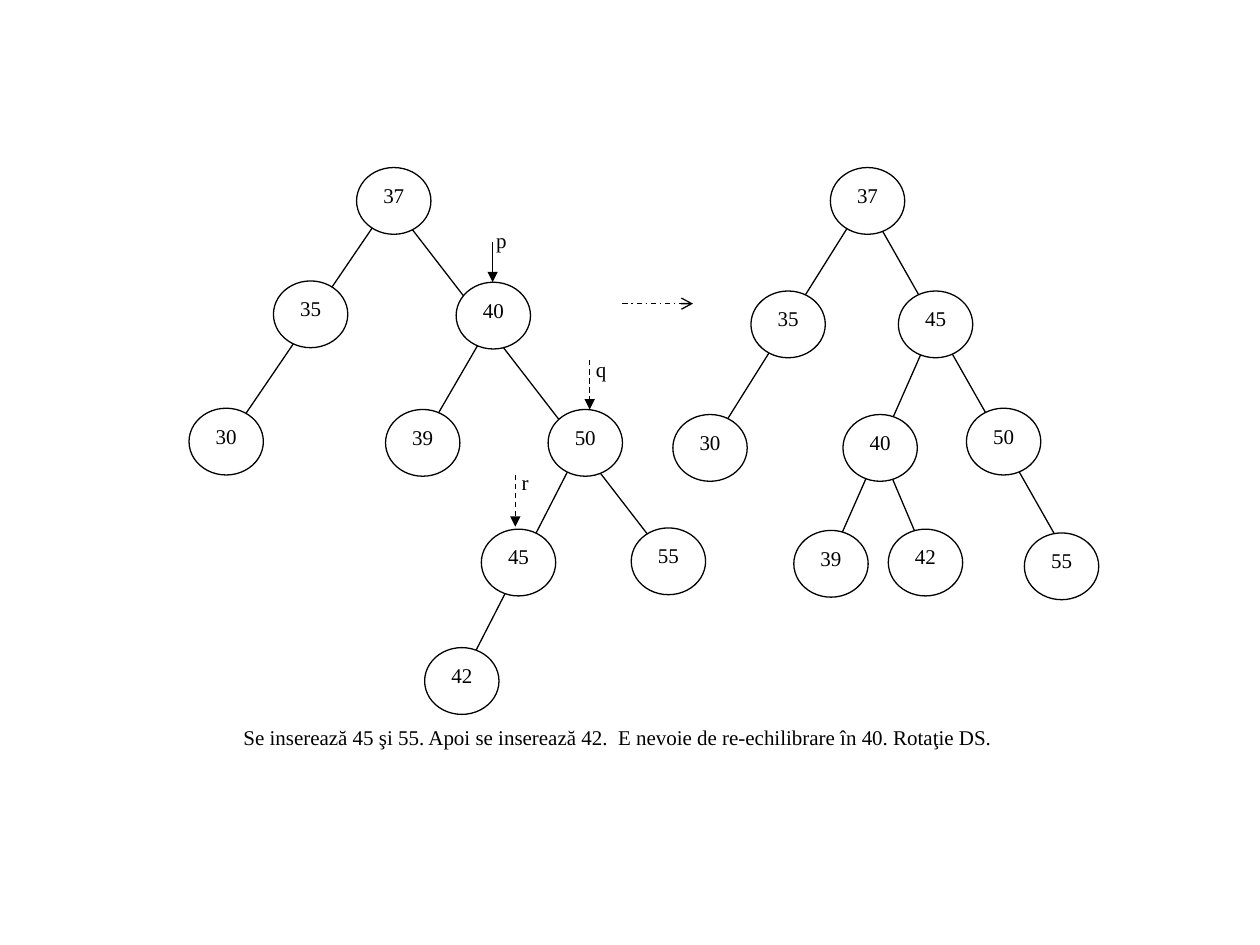
from lxml.etree import SubElement
from pptx import Presentation
from pptx.dml.color import RGBColor
from pptx.enum.dml import MSO_LINE
from pptx.enum.shapes import MSO_CONNECTOR, MSO_SHAPE
from pptx.enum.text import MSO_ANCHOR, PP_ALIGN
from pptx.oxml.ns import qn
from pptx.util import Inches, Pt

deck = Presentation()
deck.slide_width, deck.slide_height = Inches(10), Inches(7.5)
page = deck.slides.add_slide(deck.slide_layouts[6])
cell = deck.slide_width / 100
color = RGBColor.from_string
BLACK, WHITE = "000000", "FFFFFF"


def draw_line(ends, dash=None, head=None):
    line = page.shapes.add_connector(
        MSO_CONNECTOR.STRAIGHT, *[round(value * cell) for value in ends]
    )
    line.line.color.rgb = color(BLACK)
    line.line.width = Pt(0.75)
    if dash:
        line.line.dash_style = dash
    if head:
        SubElement(line.line._get_or_add_ln(), qn("a:tailEnd"), type=head)
    SubElement(line._element.spPr, qn("a:effectLst"))


def draw_text(kind, bounds, text, align, insets, outlined=False):
    box = page.shapes.add_shape(kind, *[round(value * cell) for value in bounds])
    box.shadow.inherit = False
    box.fill.solid()
    box.fill.fore_color.rgb = color(WHITE)
    if outlined:
        box.line.color.rgb = color(BLACK)
        box.line.width = Pt(0.75)
    else:
        box.line.fill.background()
    frame = box.text_frame
    frame.text = text
    frame.word_wrap = True
    frame.vertical_anchor = MSO_ANCHOR.TOP
    side, top, bottom = [round(value * cell) for value in insets]
    frame.margin_left = frame.margin_right = side
    frame.margin_top, frame.margin_bottom = top, bottom
    para = frame.paragraphs[0]
    para.alignment = align
    span = para.runs[0]
    span.font.name = "Times New Roman"
    span.font.size = Pt(12)
    span.font.color.rgb = color(BLACK)


tree_before = [
    ("37", 28.3, 13.3), ("35", 21.7, 22.3), ("40", 36.2, 22.4),
    ("30", 15, 32.4), ("39", 30.6, 32.5), ("50", 43.5, 32.5),
    ("45", 38.2, 42), ("55", 50.1, 41.9), ("42", 33.7, 51.4),
]
branches_before = [
    (39.2, 25.2, 33.4, 35.2), (31.4, 16.5, 54.4, 46.3),
    (30.9, 16.1, 18.1, 34.9), (46.6, 34.4, 36.3, 54.5),
]
tree_after = [
    ("37", 65.9, 13.3), ("35", 59.6, 23.1), ("45", 71.3, 23.1),
    ("30", 53.4, 32.9), ("40", 66.9, 32.9), ("50", 76.7, 32.4),
    ("39", 63, 42.1), ("42", 70.5, 42), ("55", 81.3, 42.3),
]
branches_after = [
    (69.9, 35.8, 73.8, 45), (74.2, 25.6, 65.5, 45.3),
    (69, 16.5, 85, 44.7), (68.5, 16.1, 56.4, 35.4),
]

for nodes, branches in [(tree_before, branches_before), (tree_after, branches_after)]:
    for ends in branches:
        draw_line(ends)
    for key, left, top in nodes:
        draw_text(MSO_SHAPE.OVAL, (left, top, 5.9, 5.3), key,
                  PP_ALIGN.CENTER, (0, 0.4, 0), outlined=True)

pointers = [
    ("p", (38.4, 17.6, 4.3, 4.1), (1, 0.5, 0.5), (39.1, 19.2, 39.1, 22.4), None),
    ("q", (47.3, 28.3, 1.5, 4.1), (0, 0, 0), (46.8, 28.6, 46.8, 32.5), MSO_LINE.DASH),
    ("r", (41.4, 37.3, 1.4, 4.1), (0, 0, 0), (40.9, 37.7, 40.9, 41.8), MSO_LINE.DASH),
]
for name, bounds, insets, ends, dash in pointers:
    draw_text(MSO_SHAPE.RECTANGLE, bounds, name, PP_ALIGN.LEFT, insets)
    draw_line(ends, dash, "triangle")

draw_line((49.4, 24.1, 55, 24.1), MSO_LINE.DASH_DOT, "arrow")
draw_text(
    MSO_SHAPE.RECTANGLE, (16.5, 57, 65.1, 6.3),
    "Se inserează 45 şi 55. Apoi se inserează 42.  E nevoie de re-echilibrare în 40. Rotaţie DS.",
    PP_ALIGN.CENTER, (1, 0.5, 0.5),
)

deck.save("out.pptx")
